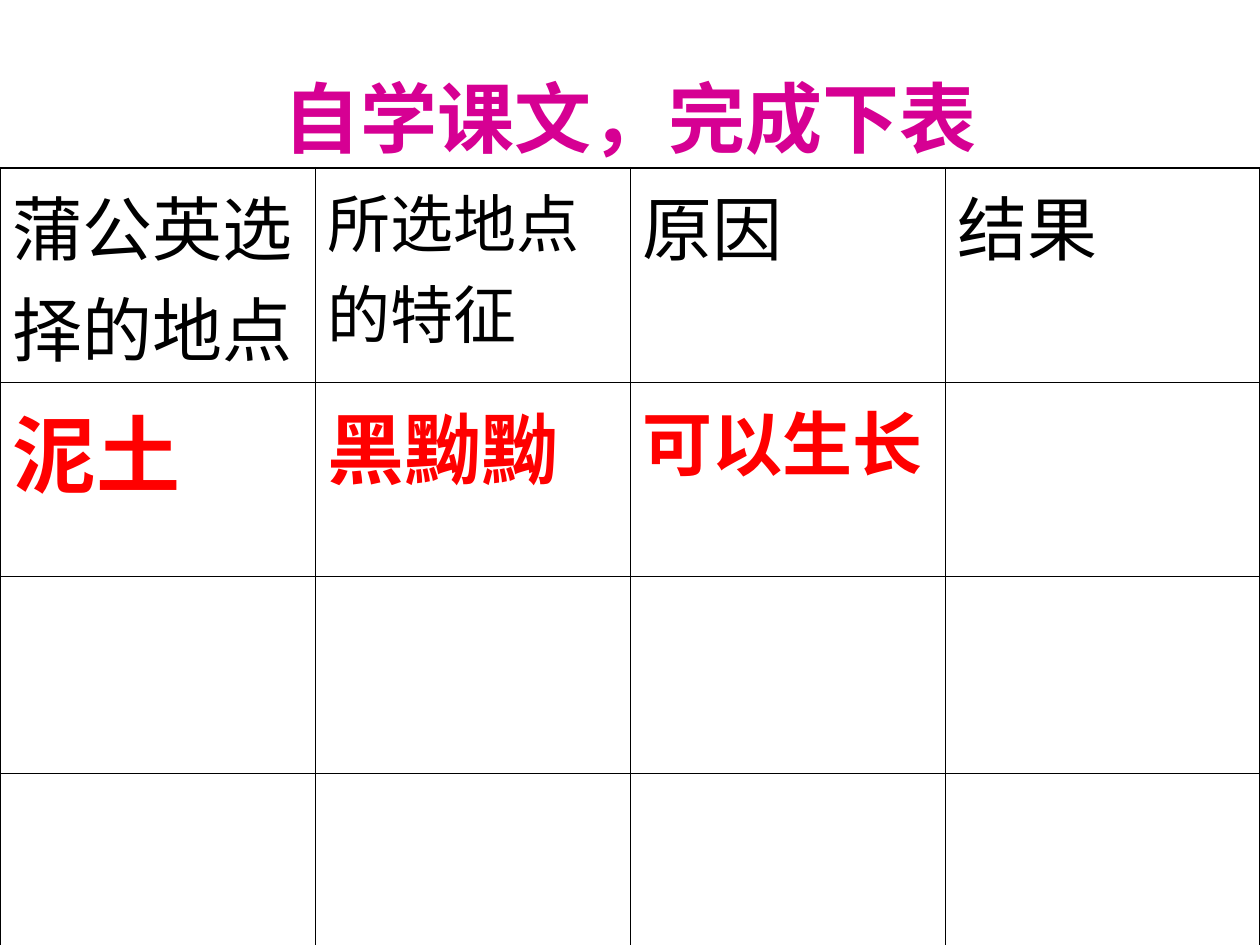
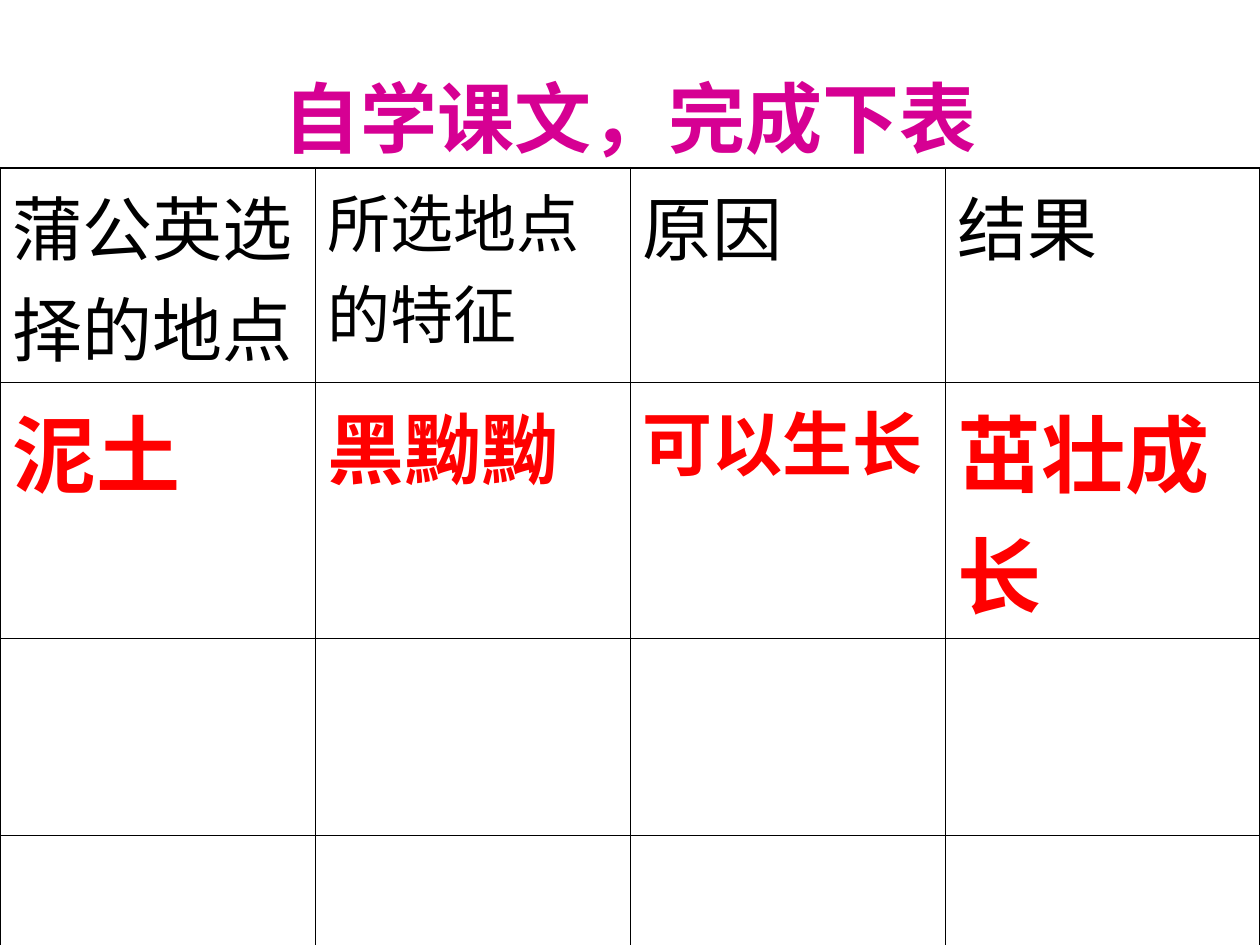
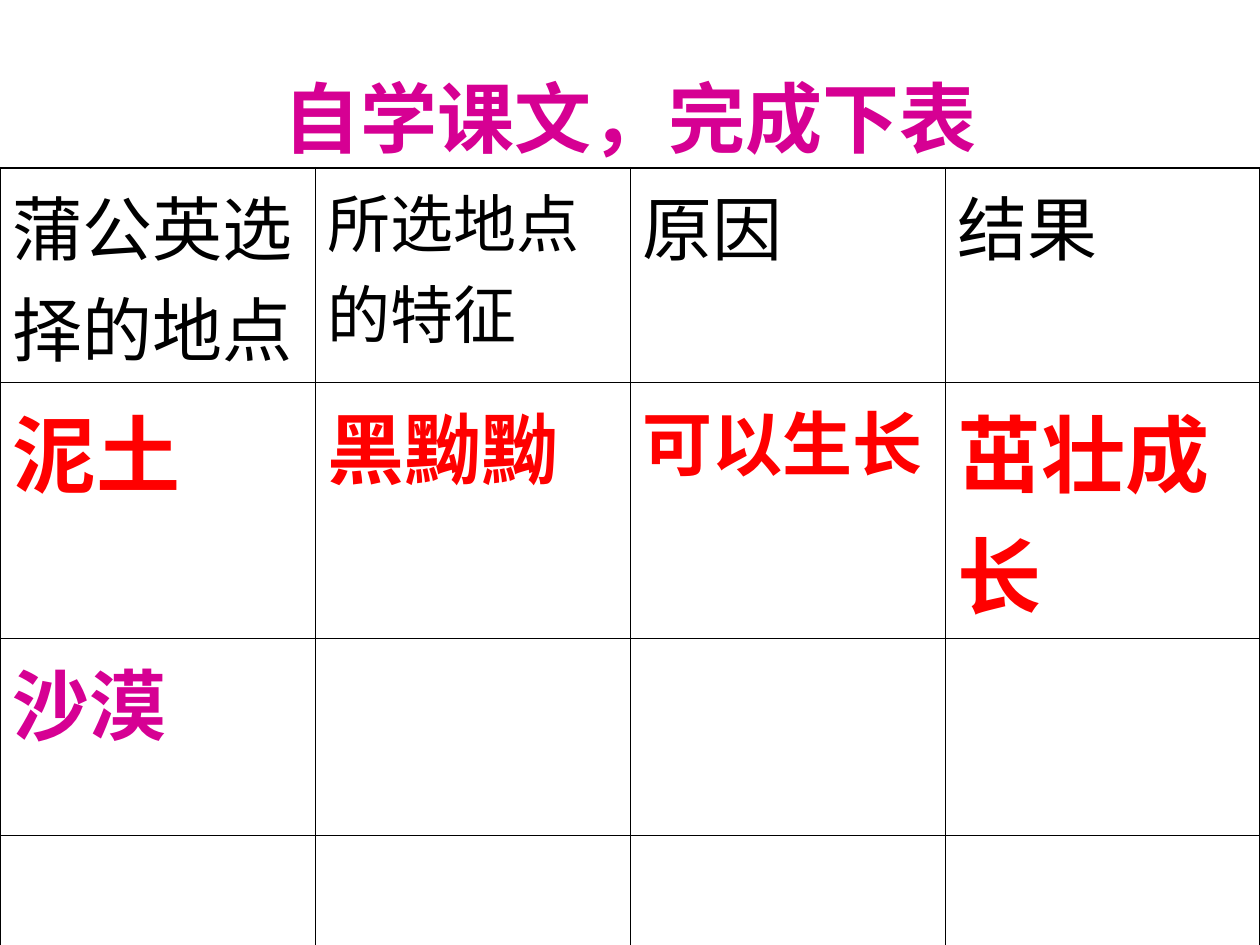
from dataclasses import dataclass

from lxml import etree
from pptx import Presentation
from pptx.dml.color import RGBColor
from pptx.enum.lang import MSO_LANGUAGE_ID
from pptx.enum.text import MSO_ANCHOR, PP_ALIGN
from pptx.oxml.ns import qn
from pptx.util import Cm, Pt

CENTER = PP_ALIGN.CENTER
MIDDLE = MSO_ANCHOR.MIDDLE
CHINESE = MSO_LANGUAGE_ID.SIMPLIFIED_CHINESE


@dataclass(frozen=True)
class Theme:
    font: str = "Arial"
    accent: str = "D60093"
    answer: str = "FF0000"
    ink: str = "000000"
    small: int = 36
    medium: int = 40
    large: int = 44
    huge: int = 48
    outer_line: float = 1.08
    inner_line: float = 0.45


T = Theme()
TITLE = "自学课文，完成下表"
COLS, ROWS = 4, 4
HEADER = {
    (0, 0): ("蒲公英选择的地点", T.medium, T.ink, False),
    (0, 1): ("所选地点的特征", T.small, T.ink, False),
    (0, 2): ("原因", T.medium, T.ink, False),
    (0, 3): ("结果", T.medium, T.ink, False),
}
SOIL = {
    (1, 0): ("泥土", T.huge, T.answer, True),
    (1, 1): ("黑黝黝", T.large, T.answer, True),
    (1, 2): ("可以生长", T.medium, T.answer, True),
}
SOIL_RESULT = {(1, 3): ("茁壮成长", T.huge, T.answer, True)}
DESERT = {(2, 0): ("沙漠", T.large, T.accent, True)}

SLIDES = [
    (HEADER | SOIL, 3.91),
    (HEADER | SOIL | SOIL_RESULT, 4.32),
    (HEADER | SOIL | SOIL_RESULT | DESERT, 4.32),
]


def add_run(p, text, size, color, bold):
    r = p.add_run()
    r.text = text
    r.font.name = T.font
    r.font.size = Pt(size)
    r.font.bold = bold
    r.font.color.rgb = RGBColor.from_string(color)
    r.font.language_id = CHINESE


def add_border(cell, side, width):
    ln = etree.SubElement(cell._tc.get_or_add_tcPr(), qn(f"a:ln{side}"), w=str(Pt(width)))
    fill = etree.SubElement(ln, qn("a:solidFill"))
    etree.SubElement(fill, qn("a:srgbClr"), val=T.ink)


prs = Presentation()
prs.slide_width, prs.slide_height = Cm(25.4), Cm(19.05)

for entries, soil_height in SLIDES:
    s = prs.slides.add_slide(prs.slide_layouts[5])
    title = s.shapes.title
    title.left, title.top, title.width, title.height = Cm(1.27), Cm(0.76), Cm(22.86), Cm(3.18)
    tf = title.text_frame
    tf.vertical_anchor = MIDDLE
    p = tf.paragraphs[0]
    p.alignment = CENTER
    add_run(p, TITLE, T.large, T.accent, True)

    heights = [3.91, soil_height, 3.96, 3.91]
    table = s.shapes.add_table(ROWS, COLS, Cm(0), Cm(3.38), Cm(25.4), Cm(sum(heights))).table
    table.first_row = False
    table.horz_banding = False
    for row, height in zip(table.rows, heights):
        row.height = Cm(height)

    for i in range(ROWS):
        for j in range(COLS):
            cell = table.cell(i, j)
            edges = {"L": j == 0, "R": j == COLS - 1, "T": i == 0, "B": i == ROWS - 1}
            for side, is_outer in edges.items():
                add_border(cell, side, T.outer_line if is_outer else T.inner_line)
            cell.fill.background()
            if (i, j) in entries:
                add_run(cell.text_frame.paragraphs[0], *entries[i, j])

prs.save("out.pptx")
